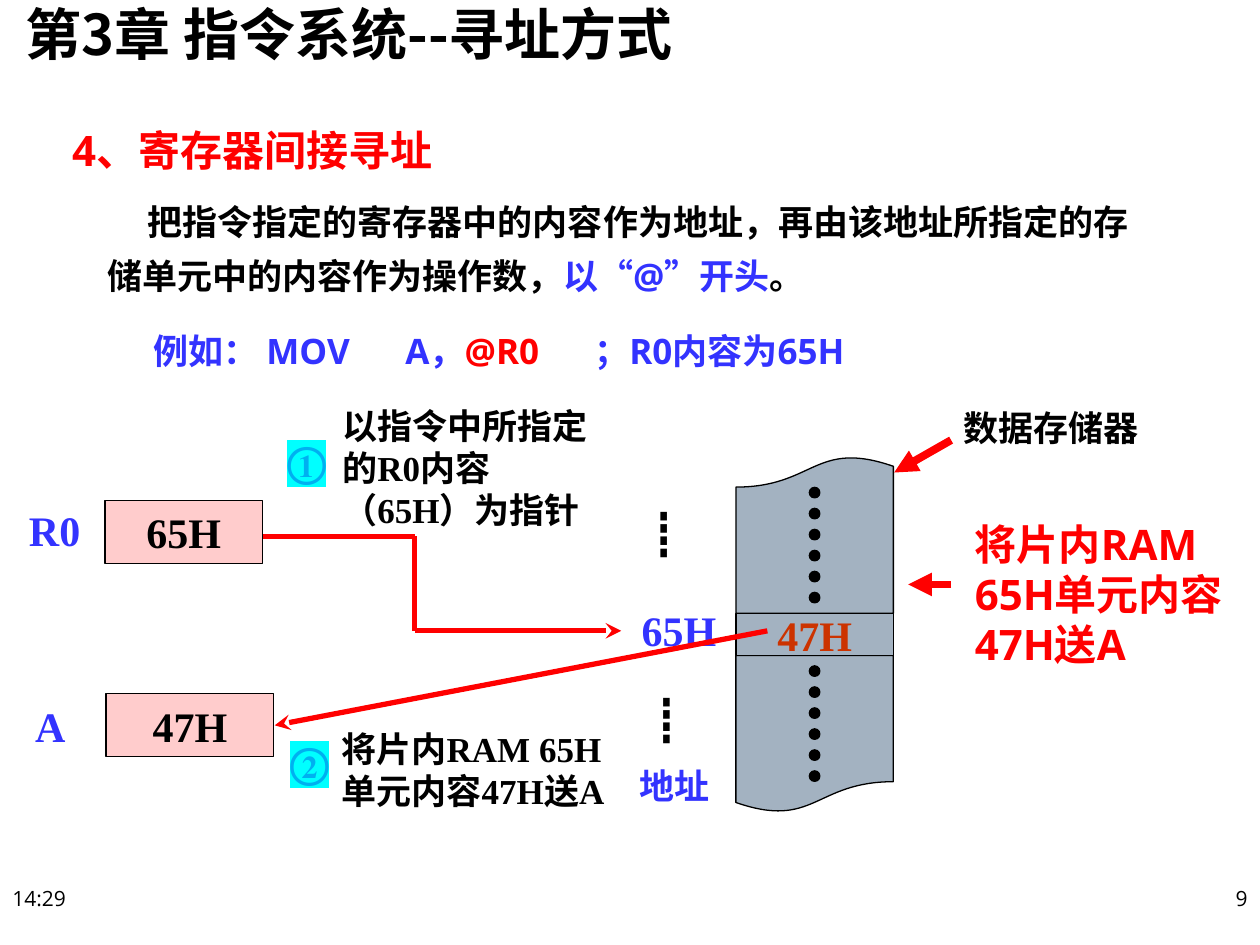
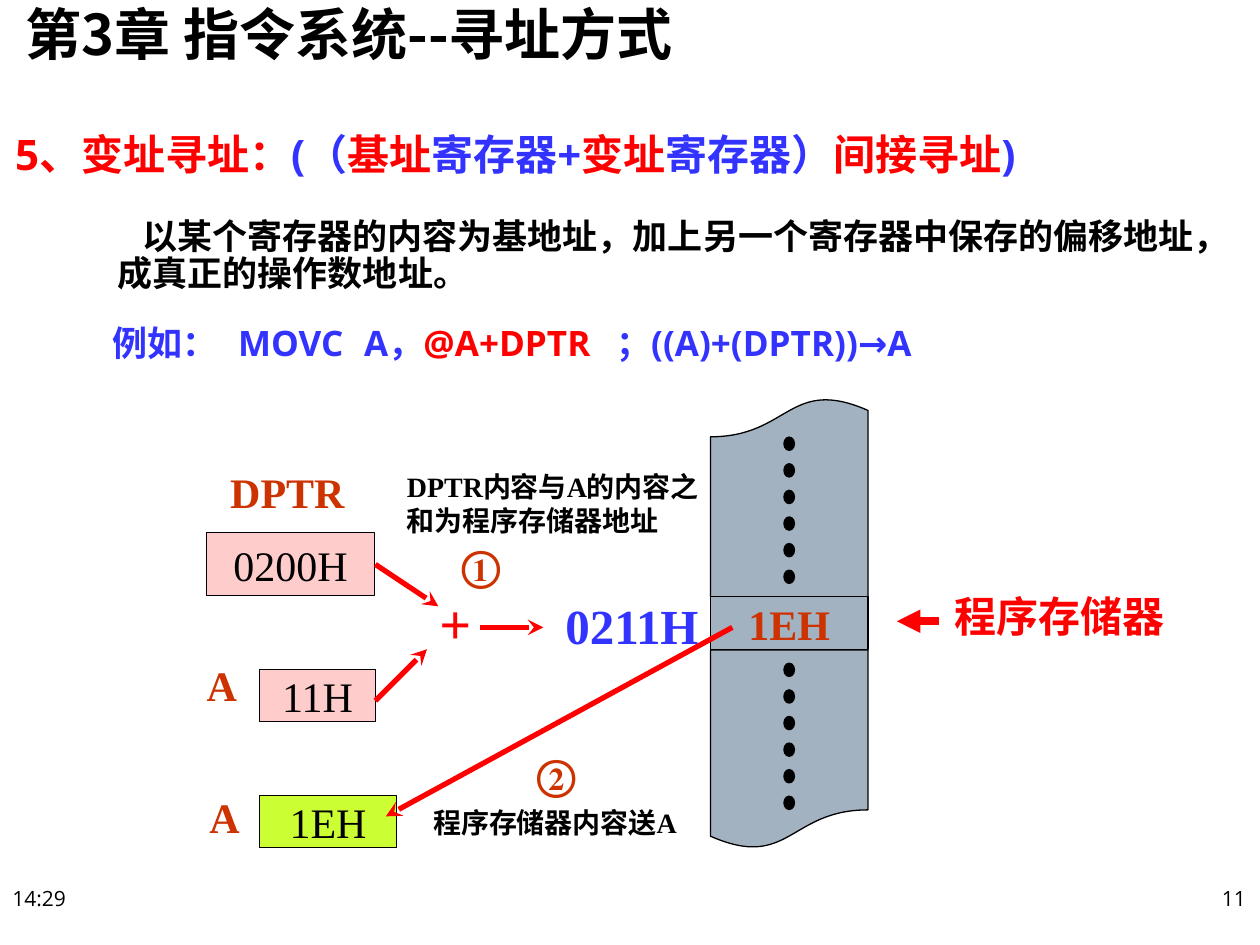
from lxml import etree
from pptx import Presentation
from pptx.dml.color import RGBColor
from pptx.enum.shapes import MSO_CONNECTOR, MSO_SHAPE
from pptx.enum.text import MSO_ANCHOR, MSO_AUTO_SIZE, PP_ALIGN
from pptx.oxml.ns import qn
from pptx.util import Pt

RECTANGLE, WAVE, DOT = MSO_SHAPE.RECTANGLE, MSO_SHAPE.FLOWCHART_DOCUMENT, MSO_SHAPE.OVAL
STRAIGHT = MSO_CONNECTOR.STRAIGHT
TOP, MIDDLE, BOTTOM = MSO_ANCHOR.TOP, MSO_ANCHOR.MIDDLE, MSO_ANCHOR.BOTTOM
LEFT, CENTER, RIGHT = PP_ALIGN.LEFT, PP_ALIGN.CENTER, PP_ALIGN.RIGHT
FIXED = MSO_AUTO_SIZE.NONE

BLACK = RGBColor(0x00, 0x00, 0x00)
WHITE = RGBColor(0xFF, 0xFF, 0xFF)
RED = RGBColor(0xFF, 0x00, 0x00)
BLUE = RGBColor(0x33, 0x33, 0xFF)
RUST = RGBColor(0xCC, 0x33, 0x00)
SKY = RGBColor(0x00, 0xB0, 0xF0)
CYAN = RGBColor(0x00, 0xFF, 0xFF)
PINK = RGBColor(0xFF, 0xCC, 0xCC)
LIME = RGBColor(0xCC, 0xFF, 0x33)
STEEL = RGBColor(0xA3, 0xB2, 0xC1)

SANS, SERIF, CHINESE = "Open Sans", "Times New Roman", "Noto Sans CJK SC"


def write(box, text, size=24, color=BLACK, bold=True, font=SERIF, east=CHINESE,
          highlight=None, align=LEFT, anchor=TOP, wrap=False, spacing=1.0,
          before=0, indent=0, tabs=()):
    """Fill a shape with one paragraph; text is a string or (text, color) spans."""
    frame = box.text_frame
    frame.auto_size, frame.word_wrap, frame.vertical_anchor = FIXED, wrap, anchor
    para = frame.paragraphs[0]
    para.alignment, para.line_spacing, para.space_before = align, spacing, Pt(before)
    layout = para._p.get_or_add_pPr()
    layout.set("marL", "0")
    layout.set("indent", str(Pt(indent)))
    etree.SubElement(layout, qn("a:buNone"))
    if tabs:
        stops = etree.SubElement(layout, qn("a:tabLst"))
        for stop in tabs:
            etree.SubElement(stops, qn("a:tab"), pos=str(Pt(stop)), algn="l")
    for words, tint in [(text, color)] if isinstance(text, str) else text:
        span = para.add_run()
        span.text = words
        span.font.size, span.font.bold, span.font.name = Pt(size), bold, font
        span.font.color.rgb = tint
        marks = span._r.get_or_add_rPr()
        etree.SubElement(marks, qn("a:ea"), typeface=east)
        if highlight is not None:
            glow = etree.Element(qn("a:highlight"))
            etree.SubElement(glow, qn("a:srgbClr"), val=str(highlight))
            marks.find(qn("a:solidFill")).addnext(glow)


def add_block(page, kind, bounds, fill, line=BLACK):
    """Add a flat preset shape; bounds are left, top, width, height in points."""
    block = page.shapes.add_shape(kind, *map(Pt, bounds))
    block.shadow.inherit = False
    block.fill.solid()
    block.fill.fore_color.rgb = fill
    if line is None:
        block.line.fill.background()
    else:
        block.line.color.rgb = line
        block.line.width = Pt(0.75)
    return block


CHAPTER = "第3章 指令系统--寻址方式"
STEP = dict(east=SERIF)
MARKED = dict(color=SKY, highlight=CYAN, east=SERIF)
ADDRESS = dict(color=BLUE)
REGISTER = dict(color=RUST)
RED_NOTE = dict(color=RED, font=SANS, wrap=True)

# Memory: left, top, dot height (all other heights are multiples of it), content.
# Cells: text, bounds, fill. Notes: text, bounds, format.
# Lines: start x, start y, end x, end y, width, arrowhead.
INDIRECT = dict(
    number="9", number_left=564,
    title=[("4、寄存器间接寻址", RED)], title_at=(34, 65.5, 235.5, 38),
    body=[("把指令指定的寄存器中的内容作为地址，再由该地址所指定的存储单元中的内容作为操作数，", BLACK),
          ("以“@”开头", BLUE), ("。", BLACK)],
    body_at=(54, 103.5, 612, 84.5), body_format=dict(spacing=1.3, indent=23),
    example=[("例如： MOV\tA，", BLUE), ("@R0\t", RED), ("；R0内容为65H", BLUE)],
    example_at=(80.5, 184.5, 511, 37.5), tabs=(127, 238),
    memory=(420.5, 260.5, 6, "47H"), cell_bold=True,
    cells=[("65H", (60, 286, 90, 36), PINK), ("47H", (60.5, 396.5, 96, 36), PINK)],
    notes=[
        ("R0", (9.5, 285, 44, 36), ADDRESS),
        ("A", (13, 396.5, 32, 36), ADDRESS),
        ("数据存储器", (543.5, 229, 116, 32), dict(size=20)),
        ("地址", (358.5, 433.5, 55.5, 32), dict(size=20, color=BLUE)),
        ("┋", (365, 286.5, 38, 36), dict(STEP, bold=False)),
        ("┋", (366.5, 393, 38, 36), dict(STEP, bold=False)),
        ("65H", (359.5, 342, 57, 36), ADDRESS),
        ("①", (157, 245.5, 39, 36), MARKED),
        ("②", (158.5, 417.5, 39, 36), MARKED),
        ("以指令中所指定的R0内容（65H）为指针", (188.5, 227.5, 163.5, 79), dict(size=20, wrap=True)),
        ("将片内RAM 65H单元内容47H送A", (188, 412, 181.5, 55.5), dict(size=20, wrap=True)),
        ("将片内RAM 65H单元内容47H送A", (550, 292.5, 156, 94.5), RED_NOTE),
    ],
    lines=[
        (150.5, 306.5, 237, 306.5, 3, None),
        (237, 306.5, 237, 360.5, 3, None),
        (237, 360.5, 355, 360.5, 3, "stealth"),
        (438.5, 360.5, 157, 414.5, 3, "stealth"),
        (543.5, 251.5, 511, 270, 4.5, "triangle"),
        (543.5, 334, 519, 334, 4.5, "triangle"),
    ])

INDEXED = dict(
    number="11", number_left=563,
    title=[("5、变址寻址：", RED), ("(（", BLUE), ("基址", RED), ("寄存器+", BLUE),
           ("变址", RED), ("寄存器）", BLUE), ("间接寻址", RED), (")", BLUE)],
    title_at=(1.5, 68.5, 597, 37.5),
    body="以某个寄存器的内容为基地址，加上另一个寄存器中保存的偏移地址，成真正的操作数地址。",
    body_at=(60, 121.5, 630, 54), body_format=dict(spacing=0.9, indent=14),
    example=[("例如：\tMOVC\tA，", BLUE), ("@A+DPTR\t", RED), ("；((A)+(DPTR))→A", BLUE)],
    example_at=(57, 180, 636, 42), tabs=(74, 155, 328),
    memory=(406, 227, 7.6, "1EH"), cell_bold=False,
    cells=[("0200H", (118, 304.5, 96, 36), PINK), ("11H", (148.5, 382.5, 66, 30), PINK),
           ("1EH", (148.5, 454.5, 78, 30), LIME)],
    notes=[
        ("0211H", (316, 337, 91.5, 41), dict(size=28, color=BLUE)),
        ("程序存储器", (538.5, 334, 136, 36), RED_NOTE),
        ("DPTR", (124.5, 263, 80, 36), REGISTER),
        ("A", (111, 373.5, 32, 36), REGISTER),
        ("A", (112.5, 448.5, 32, 36), REGISTER),
        ("+", (244, 332.5, 32.5, 45.5), dict(size=32, color=RED)),
        ("①", (256.5, 304.5, 38, 36), dict(STEP, color=RUST)),
        ("②", (299.5, 424, 38, 36), dict(STEP, color=RUST)),
        ("DPTR内容与A的内容之和为程序存储器地址", (225.5, 265, 186, 46), dict(size=16, wrap=True)),
        ("程序存储器内容送A", (240.5, 456.5, 156, 26.5), dict(size=16, wrap=True)),
    ],
    lines=[
        (214.5, 322.5, 250.5, 346.5, 3, "stealth"),
        (214.5, 400.5, 244, 371, 3, "stealth"),
        (274.5, 358.5, 310.5, 358.5, 3, "stealth"),
        (418.5, 358.5, 220.5, 466.5, 3, "stealth"),
        (536.5, 355, 512.5, 355, 4.5, "triangle"),
    ])

deck = Presentation()
deck.slide_width, deck.slide_height = Pt(720), Pt(540)

for lesson in (INDIRECT, INDEXED):
    page = deck.slides.add_slide(deck.slide_layouts[1])

    # Title and body placeholders
    title, body = page.shapes.title, page.placeholders[1]
    for holder, bounds in ((title, lesson["title_at"]), (body, lesson["body_at"])):
        holder.left, holder.top, holder.width, holder.height = map(Pt, bounds)
    write(title, lesson["title"], font=SANS, anchor=BOTTOM, wrap=True)
    write(body, lesson["body"], size=20, font=SANS, wrap=True, before=4, **lesson["body_format"])

    # Chapter heading and footers
    chapter = page.shapes.add_textbox(0, 0, Pt(524), Pt(56))
    frame = chapter.text_frame
    frame.margin_left, frame.margin_right = Pt(14.4), 0
    frame.margin_top = frame.margin_bottom = 0
    write(chapter, CHAPTER, size=32, font=CHINESE, wrap=True)
    for text, left, align in (("14:29", 0, LEFT), (lesson["number"], lesson["number_left"], RIGHT)):
        footer = page.shapes.add_textbox(Pt(left), Pt(502.5), Pt(156), Pt(37.5))
        write(footer, text, size=12, bold=False, font=SANS, align=align, wrap=True)

    # Example instruction
    example = add_block(page, RECTANGLE, lesson["example_at"], WHITE, line=None)
    write(example, lesson["example"], size=20, font=SANS, wrap=True, before=4, tabs=lesson["tabs"])

    # Memory strip: torn top, addressed cell, torn bottom, six dots in each part
    left, top, unit, content = lesson["memory"]
    cell_top = top + 15 * unit
    cell_bottom = cell_top + 4 * unit
    add_block(page, WAVE, (left, cell_bottom, 90, 15 * unit), STEEL)
    add_block(page, WAVE, (left, top, 90, 15 * unit), STEEL).rotation = 180
    cell = add_block(page, RECTANGLE, (left, cell_top, 90, 4 * unit), STEEL)
    write(cell, content, color=RUST, align=CENTER, anchor=MIDDLE)
    for first in (top + 3 * unit, cell_bottom + unit):
        for step in range(6):
            add_block(page, DOT, (left + 42, first + 2 * unit * step, 6, unit), BLACK)

    # Registers, notes and arrows
    for text, bounds, fill in lesson["cells"]:
        register = add_block(page, RECTANGLE, bounds, fill)
        write(register, text, bold=lesson["cell_bold"], align=CENTER, anchor=MIDDLE)
    for text, bounds, form in lesson["notes"]:
        write(page.shapes.add_textbox(*map(Pt, bounds)), text, **form)
    for *ends, width, head in lesson["lines"]:
        arrow = page.shapes.add_connector(STRAIGHT, *map(Pt, ends))
        arrow.line.color.rgb = RED
        arrow.line.width = Pt(width)
        if head:
            etree.SubElement(arrow.line._get_or_add_ln(), qn("a:tailEnd"), type=head)
        etree.SubElement(arrow._element.spPr, qn("a:effectLst"))

deck.save("out.pptx")
